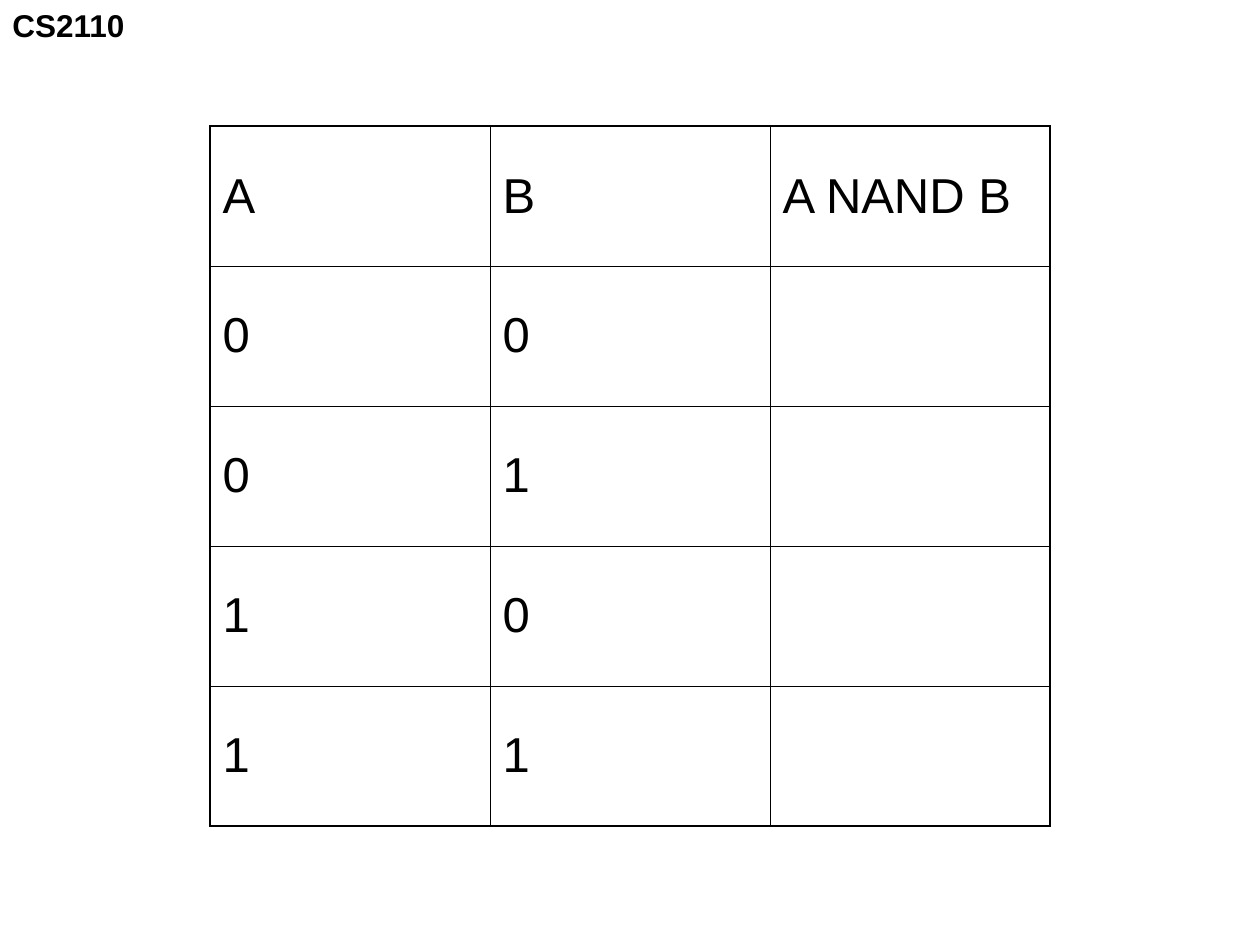
from lxml import etree
from pptx import Presentation
from pptx.dml.color import RGBColor
from pptx.enum import text
from pptx.oxml import ns
from pptx.util import Pt

COURSE = "CS2110"
TRUTH_TABLE = [
    ("A", "B", "A NAND B"),
    ("0", "0", ""),
    ("0", "1", ""),
    ("1", "0", ""),
    ("1", "1", ""),
]
BLACK = "000000"
LEFT, TOP, CELL_WIDTH, CELL_HEIGHT = 120, 72, 160, 80
OUTER_LINE, INNER_LINE = 1.08, 0.45


def set_font(paragraph, size, bold=False, color=BLACK):
    font = paragraph.font
    font.name, font.size, font.bold = "Arial", Pt(size), bold
    font.color.rgb = RGBColor.from_string(color)


def add_border(cell, side, width, color=BLACK):
    """Draw one side of a cell: L, R, T or B, called in that order."""
    properties = cell._tc.get_or_add_tcPr()
    line = etree.SubElement(properties, ns.qn(f"a:ln{side}"), w=str(Pt(width)))
    fill = etree.SubElement(line, ns.qn("a:solidFill"))
    etree.SubElement(fill, ns.qn("a:srgbClr"), val=color)


def add_course_label(slide):
    label = slide.shapes.add_textbox(Pt(0), Pt(0), Pt(79.2), Pt(28.8))
    frame = label.text_frame
    frame.word_wrap = False
    frame.auto_size = text.MSO_AUTO_SIZE.SHAPE_TO_FIT_TEXT
    frame.text = COURSE
    set_font(frame.paragraphs[0], 18, bold=True)


def add_truth_table(slide):
    rows, columns = len(TRUTH_TABLE), len(TRUTH_TABLE[0])
    table = slide.shapes.add_table(
        rows, columns, Pt(LEFT), Pt(TOP),
        Pt(columns * CELL_WIDTH), Pt(rows * CELL_HEIGHT)).table
    table.first_row = table.horz_banding = False
    for row, values in enumerate(TRUTH_TABLE):
        for column, value in enumerate(values):
            cell = table.cell(row, column)
            cell.text = value
            cell.vertical_anchor = text.MSO_ANCHOR.MIDDLE
            set_font(cell.text_frame.paragraphs[0], 28)
            on_edge = {"L": column == 0, "R": column == columns - 1,
                       "T": row == 0, "B": row == rows - 1}
            for side, outer in on_edge.items():
                add_border(cell, side, OUTER_LINE if outer else INNER_LINE)
            cell.fill.background()


presentation = Presentation()
presentation.slide_width, presentation.slide_height = Pt(720), Pt(540)
slide = presentation.slides.add_slide(presentation.slide_layouts[6])
add_course_label(slide)
add_truth_table(slide)
presentation.save("out.pptx")
